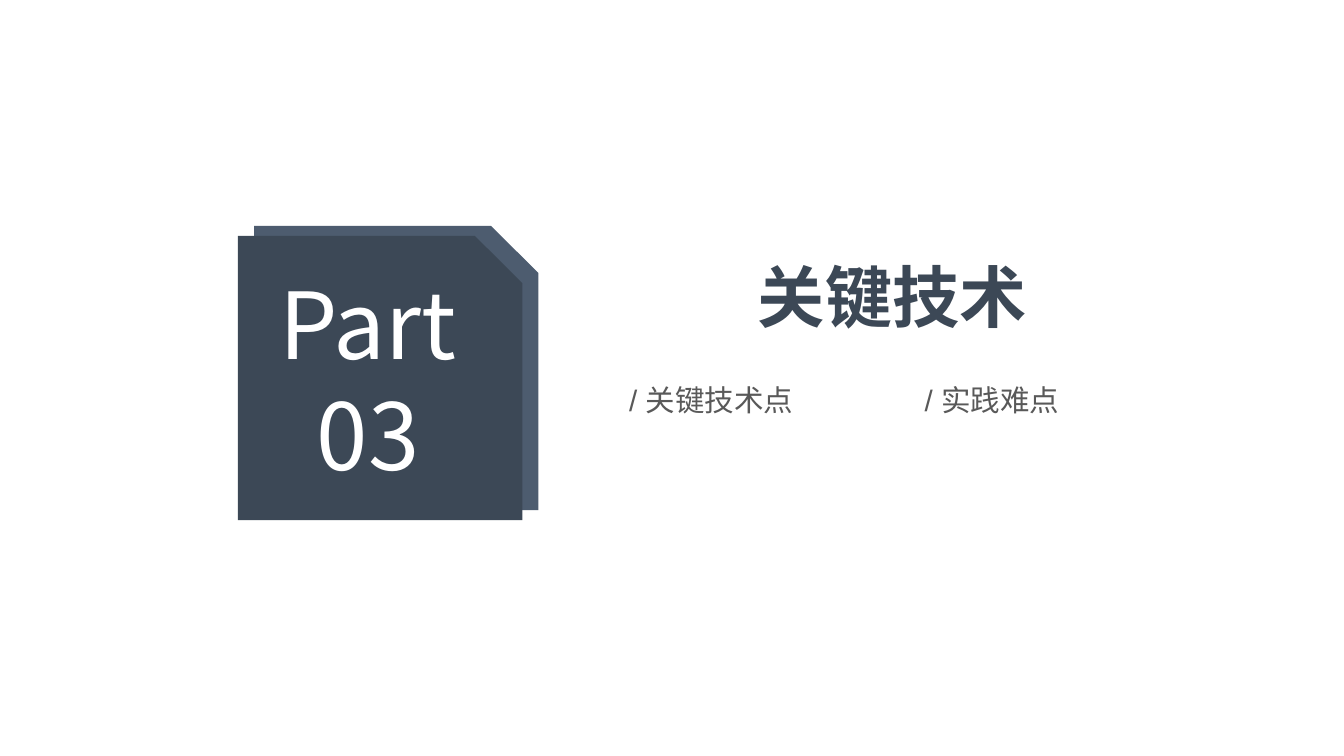
from pptx import Presentation
from pptx.dml.color import RGBColor
from pptx.enum.shapes import MSO_SHAPE as Shape
from pptx.enum.text import MSO_ANCHOR as Anchor, MSO_AUTO_SIZE as AutoSize, PP_ALIGN as Align
from pptx.oxml.ns import qn
from pptx.util import Pt
from lxml.etree import SubElement

PX = 9144
CJK = "Noto Sans CJK SC"
NAVY, SLATE, WHITE, GRAY = "3C4856", "4D5C6F", "FFFFFF", "595959"


def px(*lengths):
    """Turn whole pixels, 100 to the inch, into EMU."""
    return [length * PX for length in lengths]


def color(value):
    """Return the colour of a hex string."""
    return RGBColor.from_string(value)


def place(holder, box):
    """Move a placeholder to the given box."""
    holder.left, holder.top, holder.width, holder.height = px(*box)


def write(para, text, size, tint, font=CJK, bold=False):
    """Add one formatted run with its Latin and East Asian fonts."""
    span = para.add_run()
    span.text = text
    span.font.size = Pt(size)
    span.font.bold = bold
    span.font.color.rgb = color(tint)
    span.font.name = font
    SubElement(span._r.get_or_add_rPr(), qn("a:ea"), typeface=CJK)


def add_snipped_square(page, box, tint):
    """Add a plain square with one snipped corner."""
    square = page.shapes.add_shape(Shape.SNIP_1_RECTANGLE, *px(*box))
    square.shadow.inherit = False
    square.fill.solid()
    square.fill.fore_color.rgb = color(tint)
    square.line.fill.background()
    return square


def add_part_card(page, box, lines):
    """Add the part number on two offset squares."""
    left, top, width, height = box
    add_snipped_square(page, (left + 16, top - 10, width, height), SLATE)
    frame = add_snipped_square(page, box, NAVY).text_frame
    frame.word_wrap = True
    frame.vertical_anchor = Anchor.MIDDLE
    frame.margin_left, frame.margin_top, frame.margin_right, frame.margin_bottom = px(10, 0, 10, 24)
    for index, line in enumerate(lines):
        para = frame.add_paragraph() if index else frame.paragraphs[0]
        para.alignment = Align.CENTER
        write(para, line, 66, WHITE)


def add_heading(page, box, text):
    """Fill the title placeholder."""
    title = page.shapes.title
    place(title, box)
    frame = title.text_frame
    frame.auto_size = AutoSize.NONE
    frame.vertical_anchor = Anchor.MIDDLE
    para = frame.paragraphs[0]
    para.alignment = Align.CENTER
    write(para, text, 48, NAVY, bold=True)


def add_topics(page, box, topics):
    """Fill the body placeholders side by side at an equal pitch."""
    left, top, width, height = box
    gap = 30
    column = (width - gap * (len(topics) - 1)) // len(topics)
    for index, topic in enumerate(topics):
        body = page.placeholders[index + 1]
        place(body, (left + index * (column + gap), top, column, height))
        frame = body.text_frame
        frame.auto_size = AutoSize.NONE
        para = frame.paragraphs[0]
        props = para._p.get_or_add_pPr()
        props.set("marL", "0")
        props.set("indent", "0")
        SubElement(props, qn("a:buNone"))
        para.line_spacing = 1.3
        para.space_before = Pt(0)
        write(para, topic, 21.1, GRAY, font="Arial")


def main():
    """Build the section slide."""
    deck = Presentation()
    deck.slide_width, deck.slide_height = px(1333, 750)
    page = deck.slides.add_slide(deck.slide_layouts[3])
    add_part_card(page, (236, 234, 282, 282), ["Part", "03"])
    add_heading(page, (591, 248, 573, 91), " 关键技术")
    add_topics(page, (614, 363, 556, 52), ["/ 关键技术点", "/ 实践难点"])
    deck.save("out.pptx")


if __name__ == "__main__":
    main()
